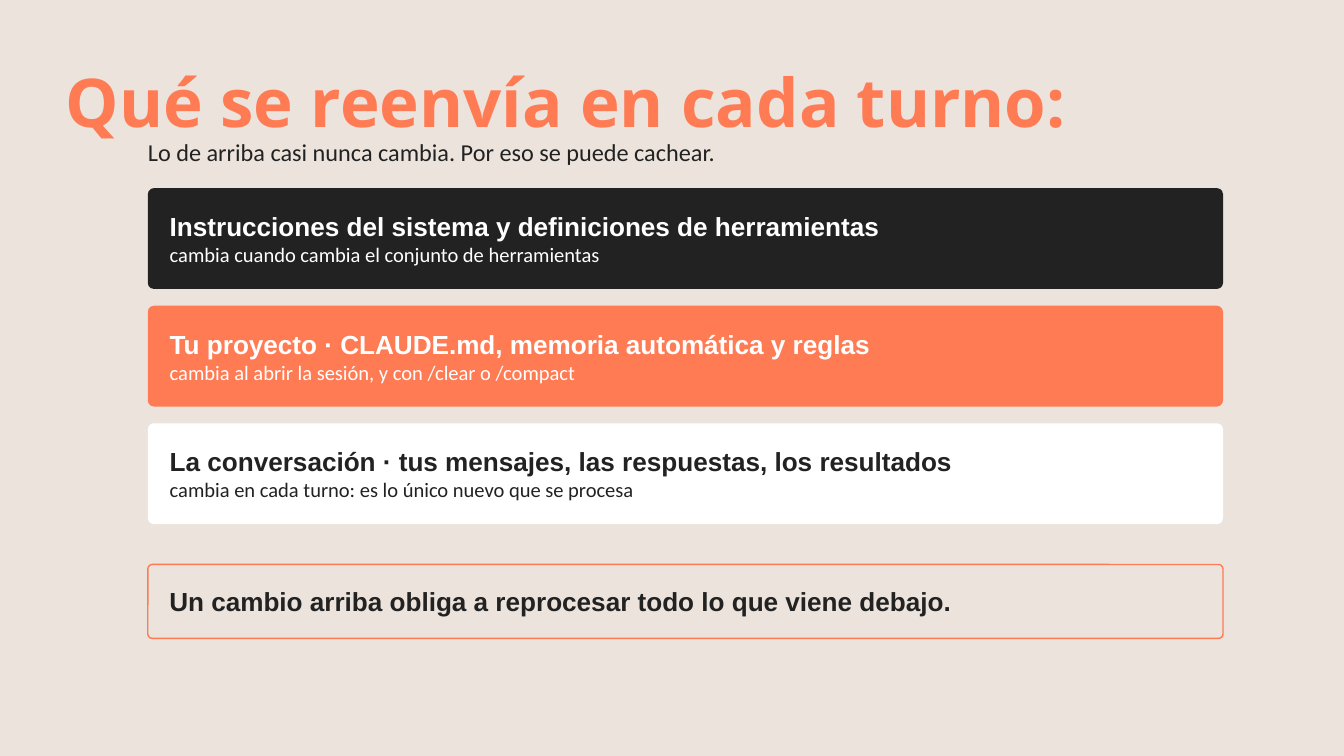
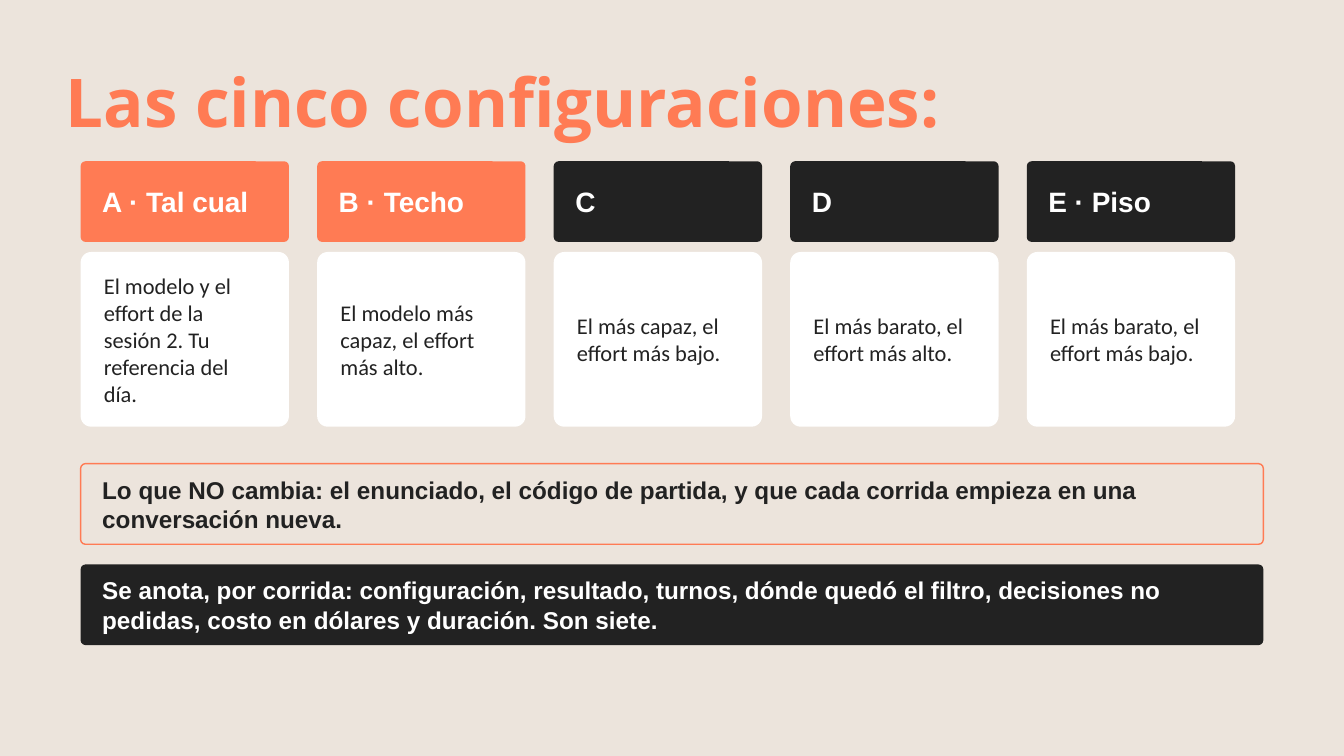
from pptx import Presentation
from pptx.dml.color import RGBColor
from pptx.enum.shapes import MSO_SHAPE
from pptx.enum.text import MSO_ANCHOR, MSO_AUTO_SIZE, PP_ALIGN
from pptx.util import Inches, Pt

SAND = RGBColor(0xEC, 0xE4, 0xDC)
CORAL = RGBColor(0xFF, 0x7B, 0x54)
INK = RGBColor(0x22, 0x22, 0x22)
WHITE = RGBColor(0xFF, 0xFF, 0xFF)
ROUNDED = MSO_SHAPE.ROUNDED_RECTANGLE
TOP, MIDDLE = MSO_ANCHOR.TOP, MSO_ANCHOR.MIDDLE
GROW = MSO_AUTO_SIZE.SHAPE_TO_FIT_TEXT
LEFT = PP_ALIGN.LEFT
TITLE_FONT, HEAD_FONT, BODY_FONT = "Open Sans", "Arial", "Calibri"
TITLE_ONLY = 5


class Deck:
    """Hold the shared style and the current slide."""

    def __init__(self):
        self.prs = Presentation()
        self.prs.slide_width, self.prs.slide_height = Inches(20), Inches(11.25)
        fill = self.prs.slide_master.background.fill
        fill.solid()
        fill.fore_color.rgb = SAND
        self.s = None

    def add_slide(self, title, width):
        self.s = self.prs.slides.add_slide(self.prs.slide_layouts[TITLE_ONLY])
        sp = self.s.shapes.title
        sp.left, sp.top = Inches(0.98), Inches(0.69)
        sp.width, sp.height = Inches(width), Inches(1.34)
        self.plain_frame(sp)
        self.set_lines(sp.text_frame, [(title, 72, TITLE_FONT, True)], CORAL)
        sp.text_frame.paragraphs[0].line_spacing = Pt(100.8)

    def plain_frame(self, sp):
        tf = sp.text_frame
        tf.margin_left = tf.margin_right = tf.margin_top = tf.margin_bottom = 0
        tf.word_wrap = True
        tf.auto_size = GROW
        tf.vertical_anchor = TOP

    def set_lines(self, tf, lines, color):
        tf.text = "\n".join(line[0] for line in lines)
        for p, (_, size, font, bold) in zip(tf.paragraphs, lines):
            p.alignment = LEFT
            for r in p.runs:
                r.font.size, r.font.name, r.font.bold = Pt(size), font, bold
                r.font.color.rgb = color

    def note(self, x, y, w, h, text, size):
        sp = self.s.shapes.add_textbox(Inches(x), Inches(y), Inches(w), Inches(h))
        self.plain_frame(sp)
        self.set_lines(sp.text_frame, [(text, size, BODY_FONT, False)], INK)

    def box(self, x, y, w, h, lines, fill=None):
        sp = self.s.shapes.add_shape(ROUNDED, Inches(x), Inches(y), Inches(w), Inches(h))
        sp.adjustments[0] = 0.06
        sp.shadow.inherit = False
        if fill is None:
            sp.fill.background()
            sp.line.color.rgb = CORAL
            sp.line.width = Pt(1.5)
        else:
            sp.fill.solid()
            sp.fill.fore_color.rgb = fill
            sp.line.fill.background()
        tf = sp.text_frame
        tf.margin_left = tf.margin_right = Inches(0.3)
        tf.margin_top = tf.margin_bottom = Inches(0.1)
        tf.word_wrap = True
        tf.vertical_anchor = MIDDLE
        self.set_lines(tf, lines, WHITE if fill in (INK, CORAL) else INK)


def resent_slide(deck):
    layers = [
        ("Instrucciones del sistema y definiciones de herramientas",
         "cambia cuando cambia el conjunto de herramientas", INK),
        ("Tu proyecto · CLAUDE.md, memoria automática y reglas",
         "cambia al abrir la sesión, y con /clear o /compact", CORAL),
        ("La conversación · tus mensajes, las respuestas, los resultados",
         "cambia en cada turno: es lo único nuevo que se procesa", WHITE),
    ]
    deck.add_slide("Qué se reenvía en cada turno:", 15.65)
    deck.note(2.2, 2.05, 16, 0.5,
              "Lo de arriba casi nunca cambia. Por eso se puede cachear.", 26)
    for i, (head, detail, fill) in enumerate(layers):
        lines = [(head, 28, HEAD_FONT, True), (detail, 22, BODY_FONT, False)]
        deck.box(2.2, 2.8 + 1.75 * i, 16, 1.5, lines, fill)
    conclusion = "Un cambio arriba obliga a reprocesar todo lo que viene debajo."
    deck.box(2.2, 8.4, 16, 1.1, [(conclusion, 28, HEAD_FONT, True)])


def configurations_slide(deck):
    configurations = [
        ("A · Tal cual", "El modelo y el effort de la sesión 2. Tu referencia del día.", CORAL),
        ("B · Techo", "El modelo más capaz, el effort más alto.", CORAL),
        ("C", "El más capaz, el effort más bajo.", INK),
        ("D", "El más barato, el effort más alto.", INK),
        ("E · Piso", "El más barato, el effort más bajo.", INK),
    ]
    rules = [
        ("Lo que NO cambia: el enunciado, el código de partida, y que cada corrida "
         "empieza en una conversación nueva.", None),
        ("Se anota, por corrida: configuración, resultado, turnos, dónde quedó el filtro, "
         "decisiones no pedidas, costo en dólares y duración. Son siete.", INK),
    ]
    deck.add_slide("Las cinco configuraciones:", 18)
    for i, (name, detail, fill) in enumerate(configurations):
        x = 1.2 + 3.52 * i
        deck.box(x, 2.4, 3.1, 1.2, [(name, 30, HEAD_FONT, True)], fill)
        deck.box(x, 3.75, 3.1, 2.6, [(detail, 24, BODY_FONT, False)], WHITE)
    for i, (rule, fill) in enumerate(rules):
        deck.box(1.2, 6.9 + 1.5 * i, 17.6, 1.2, [(rule, 26, HEAD_FONT, True)], fill)


def main():
    deck = Deck()
    resent_slide(deck)
    configurations_slide(deck)
    deck.prs.save("out.pptx")


if __name__ == "__main__":
    main()
